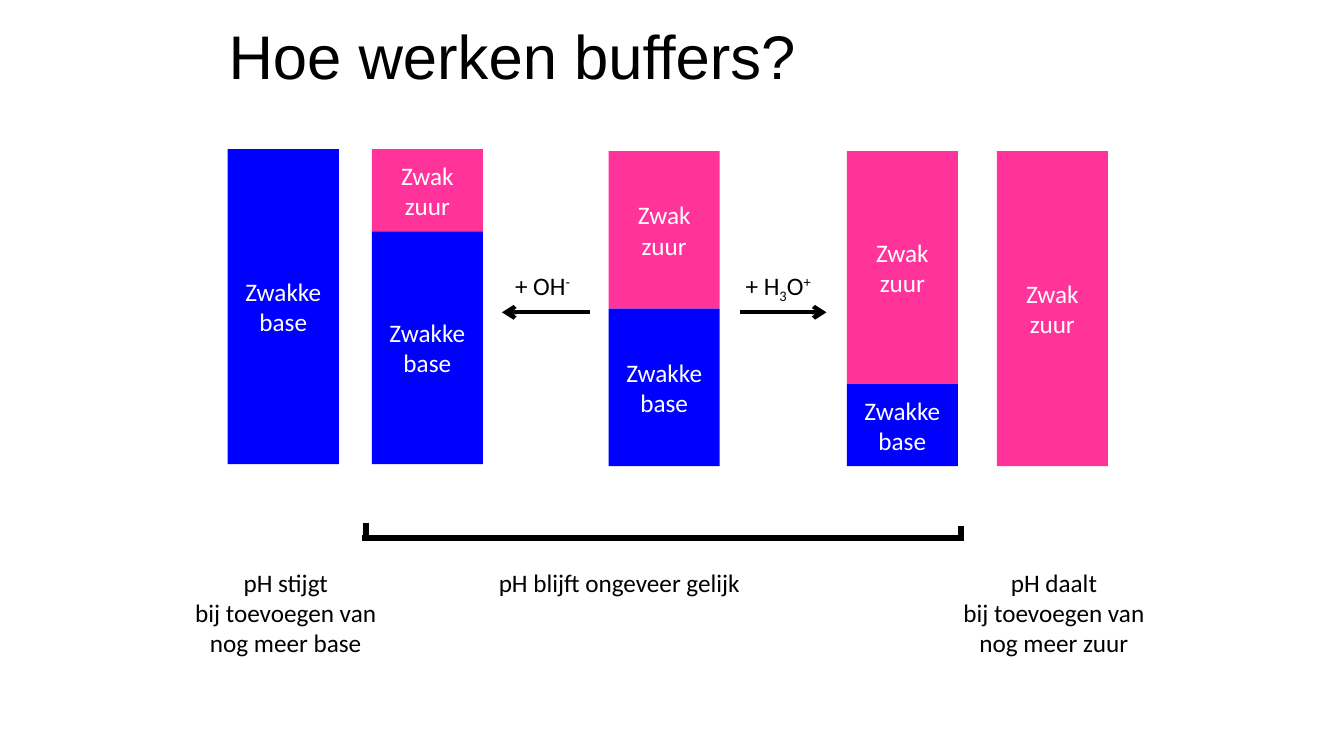
"""Builds a slide that shows how an acid-base buffer works."""
from lxml import etree
from pptx import Presentation
from pptx import util as u
from pptx.dml.color import RGBColor
from pptx.enum import shapes, text
from pptx.oxml.ns import qn

BLACK = RGBColor(0, 0, 0)
WHITE = RGBColor(255, 255, 255)
PINK = RGBColor(255, 51, 153)
BLUE = RGBColor(0, 0, 255)
LEFT, MID = text.PP_ALIGN.LEFT, text.PP_ALIGN.CENTER


def style(frame, color, align, size=18, font="Calibri"):
    """Format every run of a text frame."""
    for para in frame.paragraphs:
        para.alignment = align
        for run in para.runs:
            run.font.size = u.Pt(size)
            run.font.name = font
            run.font.color.rgb = color


def add_box(x, y, w, h, words, wrap):
    """Add a text box and return its frame."""
    box = slide.shapes.add_textbox(u.Cm(x), u.Cm(y), u.Cm(w), u.Cm(h))
    frame = box.text_frame
    frame.word_wrap = wrap
    frame.text = words
    return frame


prs = Presentation()
prs.slide_width, prs.slide_height = u.Cm(33.87), u.Cm(19.05)
slide = prs.slides.add_slide(prs.slide_layouts[6])

title = add_box(5.51, -0.08, 22.86, 3.18, "Hoe werken buffers?", True)
title.vertical_anchor = text.MSO_ANCHOR.MIDDLE
title.paragraphs[0].line_spacing = 0.9
style(title, BLACK, LEFT, 44, "Arial")

WIDE, TALL = 2.8, 7.94
bars = [(5.74, 3.76, 0), (9.37, 3.76, 2.07), (15.34, 3.81, TALL / 2),
        (21.34, 3.81, 5.87), (25.12, 3.81, TALL)]
for x, top, acid in bars:
    parts = [("Zwak zuur", PINK, top, acid),
             ("Zwakke base", BLUE, top + acid, TALL - acid)]
    for words, color, y, high in parts:
        if high == 0:
            continue
        bar = slide.shapes.add_shape(shapes.MSO_SHAPE.RECTANGLE, u.Cm(x),
                                     u.Cm(y), u.Cm(WIDE), u.Cm(high))
        bar.shadow.inherit = False
        bar.fill.solid()
        bar.fill.fore_color.rgb = color
        bar.line.fill.background()
        bar.text_frame.text = words
        bar.text_frame.vertical_anchor = text.MSO_ANCHOR.MIDDLE
        style(bar.text_frame, WHITE, MID)

lines = [(18.64, 7.87, 20.83, 7.87, 3, True),
         (14.86, 7.87, 12.65, 7.87, 3, True),
         (9.12, 13.56, 24.13, 13.56, 4.5, False),
         (9.22, 13.59, 9.22, 13.18, 4.5, False),
         (24.21, 13.64, 24.21, 13.26, 4.5, False)]
for x1, y1, x2, y2, thick, arrow in lines:
    line = slide.shapes.add_connector(shapes.MSO_CONNECTOR.STRAIGHT, u.Cm(x1),
                                      u.Cm(y1), u.Cm(x2), u.Cm(y2))
    line.line.color.rgb = BLACK
    line.line.width = u.Pt(thick)
    props = line._element.spPr
    if arrow:
        etree.SubElement(props.find(qn("a:ln")), qn("a:tailEnd"), type="arrow")
    etree.SubElement(props, qn("a:effectLst"))

ions = [(18.54, 2.24, [("+ H", 0), ("3", -25), ("O", 0), ("+", 30)]),
        (12.73, 1.93, [("+ OH", 0), ("-", 30)])]
for x, wide, bits in ions:
    frame = add_box(x, 6.68, wide, 1.02, "", False)
    for bit, shift in bits:
        run = frame.paragraphs[0].add_run()
        run.text = bit
        if shift:
            run.font._element.set("baseline", str(shift * 1000))
    style(frame, BLACK, LEFT)

notes = [(4.62, 5.16, "pH stijgt\nbij toevoegen van nog meer base", True, MID),
         (12.32, 6.68, "pH blijft ongeveer gelijk", False, LEFT),
         (23.88, 5.36, "pH daalt\nbij toevoegen van nog meer zuur", True, MID)]
for x, wide, words, wrap, align in notes:
    style(add_box(x, 14.17, wide, 1.02, words, wrap), BLACK, align)

prs.save("out.pptx")
